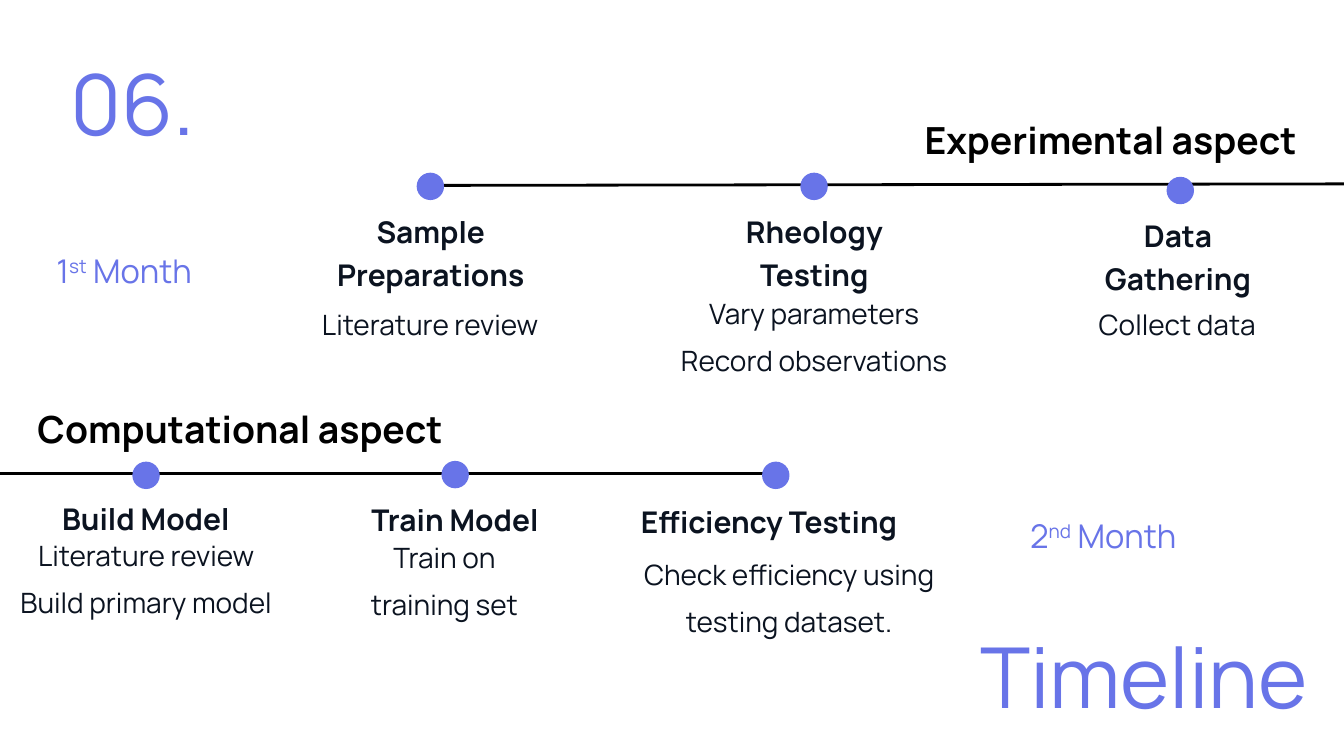
from dataclasses import dataclass

from lxml.etree import SubElement
from pptx import Presentation
from pptx.dml.color import RGBColor
from pptx.enum.shapes import MSO_CONNECTOR, MSO_SHAPE
from pptx.enum.text import MSO_AUTO_SIZE, PP_ALIGN
from pptx.oxml.ns import qn
from pptx.util import Pt


@dataclass(frozen=True)
class Theme:
    font: str = "Manrope"
    accent: RGBColor = RGBColor(0x68, 0x74, 0xE8)
    ink: RGBColor = RGBColor(0x0B, 0x13, 0x20)
    black: RGBColor = RGBColor(0, 0, 0)
    display: int = 90
    section: int = 40
    month: int = 35
    heading: int = 32
    detail: int = 30
    line: int = 3
    dot: float = 29.4


THEME = Theme()
INSET = 7.2

# Each milestone: dot (left, top), heading and its box, detail lines and their box
MILESTONES = [
    ((446.4, 185), "Sample Preparations", (350, 221, 223.2, 93),
     ["Literature review"], (328.3, 315.4, 265, 51)),
    ((857.5, 185), "Rheology Testing", (761, 221, 223.2, 93),
     ["Vary parameters", "Record observations"], (709.2, 303.1, 326.2, 152.6)),
    ((1249.9, 189.4), "Data Gathering", (1150.6, 225.4, 223.2, 93),
     ["Collect data"], (1155.6, 315.4, 211.7, 101.5)),
    ((141.8, 494.6), "Build Model", (23.8, 528.5, 265, 46.8),
     ["Literature review", "Build primary model"], (0, 563, 313.2, 101.5)),
    ((473, 493.8), "Train Model", (355, 529.9, 265, 46.8),
     ["Train on training set"], (370, 565.2, 212.4, 101.5)),
    ((816.5, 494.6), "Efficiency Testing", (676.1, 531.4, 296, 46.8),
     ["Check efficiency using testing dataset."], (689, 582.5, 313.2, 152.6)),
]


def add_text(slide, box, lines, size, color, bold=False,
             align=PP_ALIGN.CENTER, spacing=None, inset=0):
    """Add a text box; each line is a list of (text, is_superscript) runs or a string."""
    tf = slide.shapes.add_textbox(*map(Pt, box)).text_frame
    tf.word_wrap = True
    tf.auto_size = MSO_AUTO_SIZE.SHAPE_TO_FIT_TEXT
    tf.margin_left = tf.margin_right = tf.margin_top = tf.margin_bottom = Pt(inset)
    for i, line in enumerate(lines):
        p = tf.add_paragraph() if i else tf.paragraphs[0]
        p.alignment = align
        if spacing:
            p.line_spacing = spacing
        for text, raised in [(line, False)] if isinstance(line, str) else line:
            r = p.add_run()
            r.text = text
            r.font.name, r.font.size, r.font.bold = THEME.font, Pt(size), bold
            r.font.color.rgb = color
            if raised:
                r._r.get_or_add_rPr().set("baseline", "30000")


def add_axis(slide, start, end):
    line = slide.shapes.add_connector(
        MSO_CONNECTOR.STRAIGHT, *map(Pt, (*start, *end)))
    line.line.color.rgb = THEME.black
    line.line.width = Pt(THEME.line)
    SubElement(line._element.spPr, qn("a:effectLst"))


def add_dot(slide, left, top):
    s = slide.shapes.add_shape(
        MSO_SHAPE.OVAL, Pt(left), Pt(top), Pt(THEME.dot), Pt(THEME.dot))
    s.shadow.inherit = False
    s.fill.solid()
    s.fill.fore_color.rgb = THEME.accent
    s.line.fill.background()


def add_milestone(slide, dot, heading, heading_box, details, detail_box):
    add_dot(slide, *dot)
    add_text(slide, heading_box, [heading], THEME.heading, THEME.ink,
             bold=True, spacing=1.2)
    add_text(slide, detail_box, details, THEME.detail, THEME.ink, spacing=1.4)


def add_section(slide, box, title):
    add_text(slide, box, [title], THEME.section, THEME.black, bold=True,
             align=PP_ALIGN.LEFT, inset=INSET)


def add_month(slide, box, number, suffix):
    runs = [(number, False), (suffix, True), (" Month", False)]
    add_text(slide, box, [runs], THEME.month, THEME.accent,
             align=PP_ALIGN.LEFT, inset=INSET)


def main():
    prs = Presentation()
    prs.slide_width, prs.slide_height = Pt(1440), Pt(810)
    slide = prs.slides.add_slide(prs.slide_layouts[6])

    add_text(slide, (36.7, 12.2, 210.2, 152.6), ["06."], THEME.display,
             THEME.accent, spacing=1.4)
    add_text(slide, (799.2, 648, 602, 109.4), ["Timeline"], THEME.display,
             THEME.accent, align=PP_ALIGN.RIGHT, spacing=1.2)

    add_axis(slide, (449.3, 198.7), (1689, 196.6))
    add_axis(slide, (0, 507.6), (839.5, 507.6))
    for milestone in MILESTONES:
        add_milestone(slide, *milestone)

    add_section(slide, (983.5, 118, 472.3, 63.4), "Experimental aspect")
    add_section(slide, (33.1, 427.7, 489.6, 63.4), "Computational aspect")
    add_month(slide, (53.3, 261.4, 175.7, 56.9), "1", "st")
    add_month(slide, (1096.6, 545, 199.4, 56.9), "2", "nd")

    prs.save("out.pptx")


if __name__ == "__main__":
    main()
